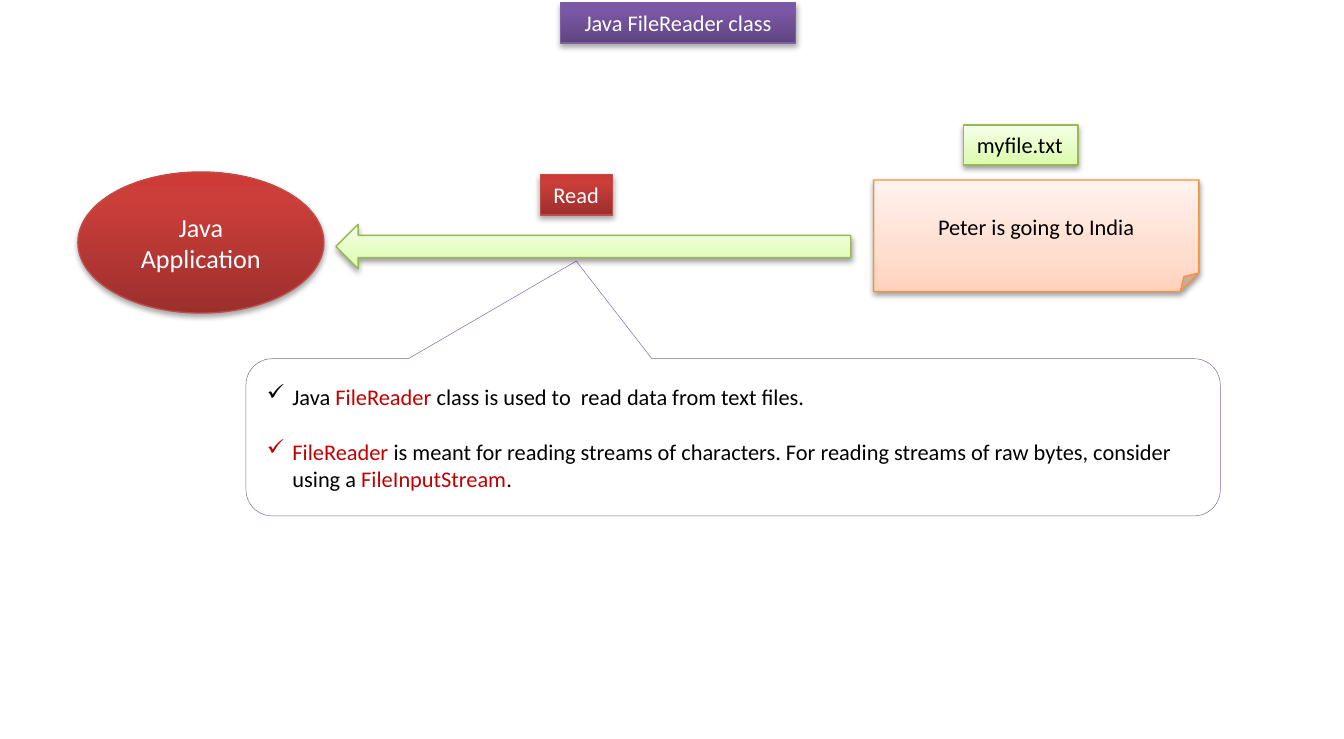
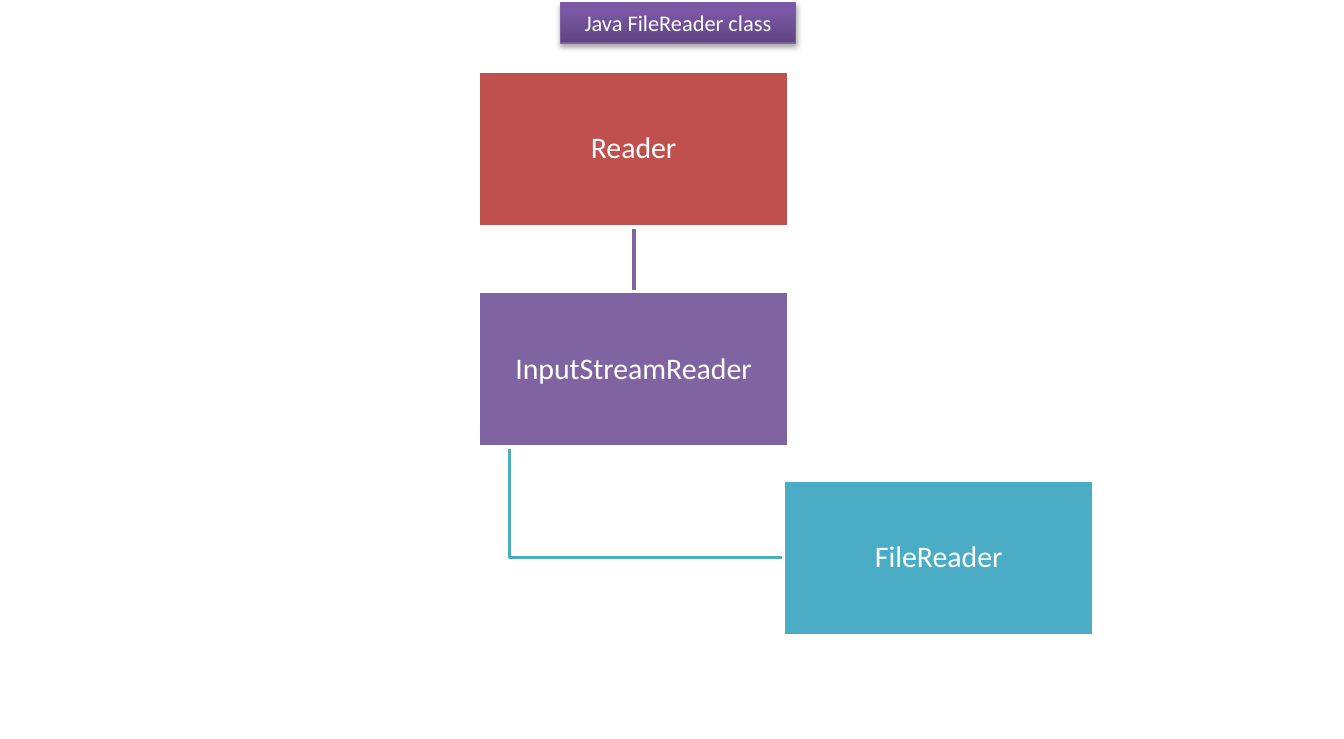
from lxml.etree import SubElement
from pptx import Presentation
from pptx.dml.color import RGBColor
from pptx.enum.shapes import MSO_CONNECTOR, MSO_SHAPE
from pptx.enum.text import MSO_ANCHOR, MSO_AUTO_SIZE, PP_ALIGN
from pptx.oxml.ns import qn
from pptx.util import Inches, Pt

FONT = "Calibri"
WHITE = RGBColor(0xFF, 0xFF, 0xFF)
BLACK = RGBColor(0, 0, 0)
KEYWORD = RGBColor(0xC0, 0, 0)
RED = RGBColor(0xC0, 0x50, 0x4D)
PURPLE = RGBColor(0x80, 0x64, 0xA2)
TEAL = RGBColor(0x4B, 0xAC, 0xC6)

# Glossy styles: gradient stops from the bottom up, outline, text colour, shadow
STRONG = {"opacity": 35, "dist": 1.8}
SOFT = {"opacity": 38, "dist": 1.6}
STYLES = {
    "purple": ([(0, "5F4480"), (80, "7B58A6"), (100, "7C57A8")],
               RGBColor(0x7D, 0x60, 0xA0), WHITE, STRONG),
    "red": ([(0, "9C2F2D"), (80, "CB3E3A"), (100, "CE3B37")],
            RGBColor(0xBF, 0x4C, 0x48), WHITE, STRONG),
    "green": ([(0, "DAFDA7"), (35, "E4FCC2"), (100, "F5FFE7")],
              RGBColor(0x98, 0xB9, 0x55), BLACK, SOFT),
    "orange": ([(0, "FFD2BD"), (35, "FFDED0"), (100, "FFF2ED")],
               RGBColor(0xF6, 0x92, 0x40), BLACK, SOFT),
}

TITLE = "Java FileReader class"
# preset, box, style, text, size
DIAGRAM = [
    (MSO_SHAPE.FOLDED_CORNER, (6.5, 1.34, 2.42, 0.83), "orange", "Peter is going to India", 12),
    (MSO_SHAPE.OVAL, (0.58, 1.28, 1.83, 1.05), "red", "Java Application", 14),
    (MSO_SHAPE.LEFT_ARROW, (2.5, 1.67, 3.83, 0.33), "green", "", 12),
]
LABELS = [
    ((7.17, 0.93, 0.85, 0.3), "green", "myfile.txt"),
    ((4.02, 1.3, 0.54, 0.3), "red", "Read"),
]
CALLOUT_BOX = (1.83, 2.67, 7.25, 1.17)
CALLOUT_ADJ = (-0.161, -1.121, 0.167)
NOTES = [
    [("Java ", BLACK), ("FileReader", KEYWORD),
     (" class is used to  read data from text files.", BLACK)],
    [("FileReader", KEYWORD),
     (" is meant for reading streams of characters. For reading streams of raw bytes, "
      "consider using a ", BLACK),
     ("FileInputStream", KEYWORD), (".", BLACK)],
]
CLASS_W, CLASS_H = 2.31, 1.16
CLASSES = [
    ("Reader", 3.56, 0.53, RED),
    ("InputStreamReader", 3.56, 2.17, PURPLE),
    ("FileReader", 5.83, 3.57, TEAL),
]


def add_run(p, text, size, color):
    r = p.add_run()
    r.text = text
    for name, value in {"name": FONT, "size": Pt(size)}.items():
        setattr(r.font, name, value)
    r.font.color.rgb = color


def add_flat(slide, preset, box, fill, line, width):
    sp = slide.shapes.add_shape(preset, *map(Inches, box))
    sp.shadow.inherit = False
    sp.fill.solid()
    sp.fill.fore_color.rgb = fill
    sp.line.color.rgb = line
    sp.line.width = Pt(width)
    return sp


def add_glossy(slide, preset, box, style, text="", size=12, **frame):
    """Add a shape with a vertical gradient and a drop shadow; frame holds text frame settings."""
    stops, line, color, shadow = STYLES[style]
    sp = add_flat(slide, preset, box, WHITE, line, 0.75)
    sp.fill.gradient()
    grad = sp._element.spPr.find(qn("a:gradFill"))
    stop_list = grad.find(qn("a:gsLst"))
    stop_list.clear()
    for pos, rgb in stops:
        gs = SubElement(stop_list, qn("a:gs"), pos=str(pos * 1000))
        SubElement(gs, qn("a:srgbClr"), val=rgb)
    grad.find(qn("a:lin")).set("ang", "16200000")

    effects = sp._element.spPr.find(qn("a:effectLst"))
    outer = SubElement(effects, qn("a:outerShdw"), blurRad=str(Pt(3.1)),
                       dist=str(Pt(shadow["dist"])), dir="5400000", rotWithShape="0")
    black = SubElement(outer, qn("a:srgbClr"), val="000000")
    SubElement(black, qn("a:alpha"), val=str(shadow["opacity"] * 1000))

    if text:
        tf = sp.text_frame
        for name, value in frame.items():
            setattr(tf, name, value)
        p = tf.paragraphs[0]
        p.alignment = PP_ALIGN.LEFT if tf.word_wrap is False else PP_ALIGN.CENTER
        add_run(p, text, size, color)
    return sp


def add_callout(slide):
    sp = add_flat(slide, MSO_SHAPE.ROUNDED_RECTANGULAR_CALLOUT, CALLOUT_BOX, WHITE, PURPLE, 0.25)
    for i, value in enumerate(CALLOUT_ADJ):
        sp.adjustments[i] = value
    tf = sp.text_frame
    for i, runs in enumerate(NOTES):
        p = tf.add_paragraph() if i else tf.paragraphs[0]
        p.alignment = PP_ALIGN.LEFT
        if i:
            p.space_before = Pt(15)
        pPr = p._p.get_or_add_pPr()
        pPr.set("marL", str(Inches(0.19)))
        pPr.set("indent", str(-Inches(0.19)))
        SubElement(pPr, qn("a:buChar"), char="✓")
        for text, color in runs:
            add_run(p, text, 12, color)


def add_class(slide, name, left, top, color):
    sp = add_flat(slide, MSO_SHAPE.RECTANGLE, (left, top, CLASS_W, CLASS_H), color, WHITE, 2)
    tf = sp.text_frame
    for side in ("left", "top", "right", "bottom"):
        setattr(tf, f"margin_{side}", Inches(0.01))
    p = tf.paragraphs[0]
    p.alignment = PP_ALIGN.CENTER
    p.line_spacing = 0.9
    add_run(p, name, 16, WHITE)
    return sp


def send_to_back(slide, link, color):
    link.line.color.rgb = color
    link.line.width = Pt(2)
    slide.shapes._spTree.insert(2, link._element)


def add_links(slide, base, middle, leaf):
    link = slide.shapes.add_connector(MSO_CONNECTOR.STRAIGHT, 0, 0, 0, 0)
    link.begin_connect(base, 2)
    link.end_connect(middle, 0)
    SubElement(link._element.spPr, qn("a:effectLst"))
    send_to_back(slide, link, PURPLE)

    x = middle.left + middle.width // 10
    y = leaf.top + leaf.height // 2
    builder = slide.shapes.build_freeform(x, middle.top + middle.height)
    builder.add_line_segments([(x, y), (leaf.left, y)], close=False)
    elbow = builder.convert_to_shape()
    elbow.shadow.inherit = False
    elbow.fill.background()
    send_to_back(slide, elbow, TEAL)


def add_slide(prs):
    slide = prs.slides.add_slide(prs.slide_layouts[6])
    add_glossy(slide, MSO_SHAPE.RECTANGLE, (4.17, 0.02, 1.75, 0.3), "purple", TITLE,
               vertical_anchor=MSO_ANCHOR.TOP, auto_size=MSO_AUTO_SIZE.SHAPE_TO_FIT_TEXT)
    return slide


def main():
    prs = Presentation()
    prs.slide_width, prs.slide_height = Inches(10), Inches(5.5)

    slide = add_slide(prs)
    add_callout(slide)
    for part in DIAGRAM:
        add_glossy(slide, *part)
    for box, style, text in LABELS:
        add_glossy(slide, MSO_SHAPE.RECTANGLE, box, style, text, word_wrap=False,
                   vertical_anchor=MSO_ANCHOR.TOP, auto_size=MSO_AUTO_SIZE.SHAPE_TO_FIT_TEXT)

    slide = add_slide(prs)
    add_links(slide, *[add_class(slide, *item) for item in CLASSES])

    prs.save("out.pptx")


if __name__ == "__main__":
    main()
